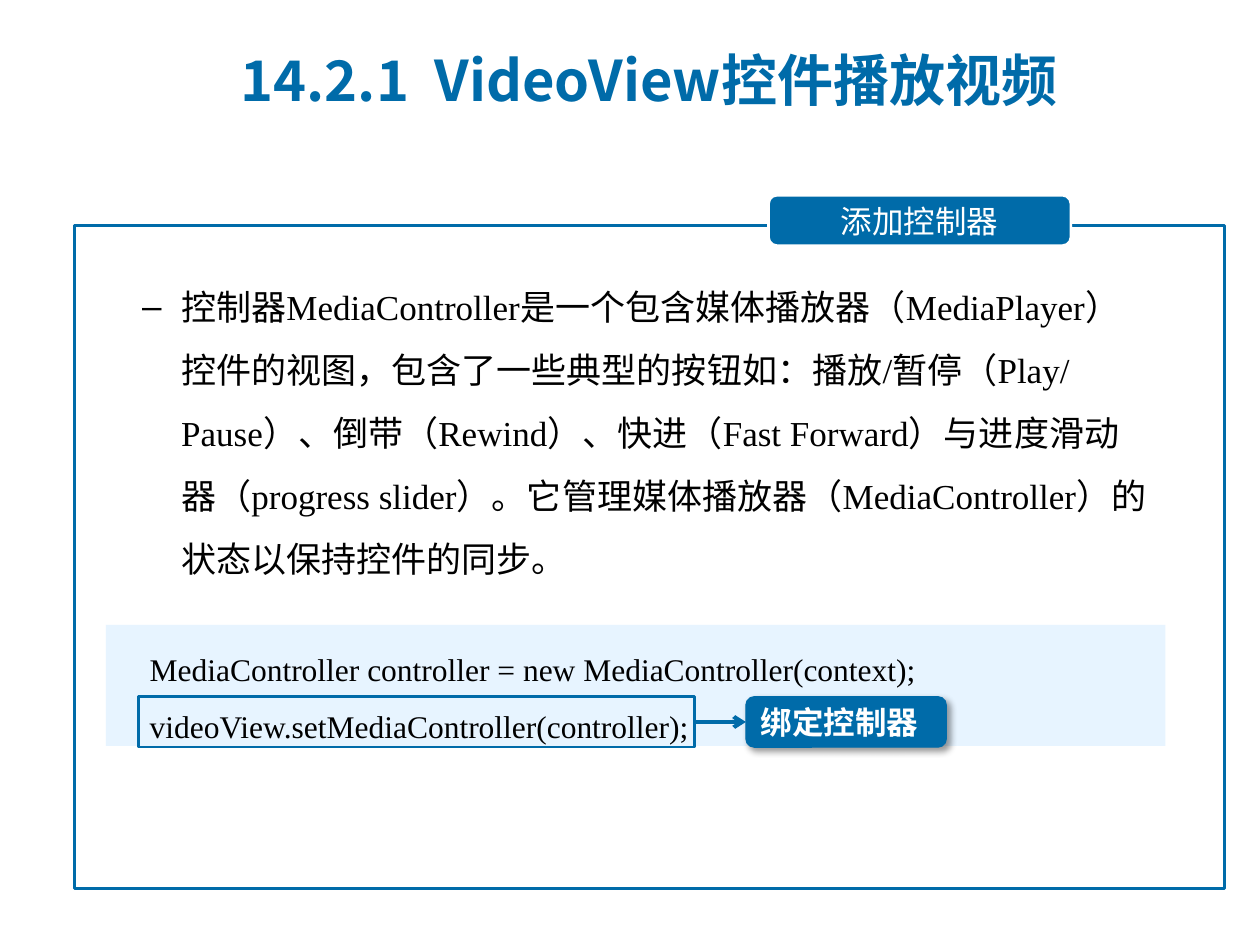
from lxml import etree
from pptx import Presentation
from pptx.dml.color import RGBColor
from pptx.enum import shapes, text
from pptx.oxml import parse_xml
from pptx.oxml.ns import nsdecls, qn
from pptx.util import Inches, Pt

BLUE = RGBColor(0x00, 0x6B, 0xA9)
PALE = RGBColor(0xE7, 0xF4, 0xFF)
WHITE = RGBColor(0xFF, 0xFF, 0xFF)
BLACK = RGBColor(0x00, 0x00, 0x00)
CJK, SANS, SERIF = "Noto Sans CJK SC", "Arial", "Times New Roman"

DESCRIPTION = [
    ("控制器", SANS),
    ("MediaController是一个包含媒体播放器（MediaPlayer）控件的视图，包含了一些典型的按钮如："
     "播放/暂停（Play/ Pause）、倒带（Rewind）、快进（Fast Forward）与进度滑动器"
     "（progress slider）。它管理媒体播放器（MediaController）的状态以保持控件的同步", SERIF),
    ("。", SANS),
]
CODE = [
    "    MediaController controller = new MediaController(context);",
    "    videoView.setMediaController(controller);",
]


def add_text(p, content, size=18, font=SANS, color=BLACK, bold=False,
             align=text.PP_ALIGN.LEFT, spacing=None):
    p.alignment = align
    if spacing:
        p.line_spacing = spacing
    r = p.add_run()
    r.text = content
    f = r.font
    f.size, f.name, f.bold = Pt(size), font, bold
    f.color.rgb = color
    etree.SubElement(r._r.get_or_add_rPr(), qn("a:ea")).set("typeface", CJK)


def set_indent(p, left, hanging):
    pPr = p._p.get_or_add_pPr()
    pPr.set("marL", str(Inches(left)))
    pPr.set("indent", str(-Inches(hanging)))
    return pPr


def add_box(slide, x, y, w, h, kind=shapes.MSO_SHAPE.RECTANGLE,
            fill=None, line=None, width=1.5):
    sp = slide.shapes.add_shape(kind, Inches(x), Inches(y), Inches(w), Inches(h))
    sp.shadow.inherit = False
    if fill is None:
        sp.fill.background()
    else:
        sp.fill.solid()
        sp.fill.fore_color.rgb = fill
    if line is None:
        sp.line.fill.background()
    else:
        sp.line.color.rgb = line
        sp.line.width = Pt(width)
    return sp


def add_title(slide, x, y, w, h):
    title = slide.shapes.title
    title.left, title.top, title.width, title.height = map(Inches, (x, y, w, h))
    tf = title.text_frame
    tf.auto_size = text.MSO_AUTO_SIZE.NONE
    tf.vertical_anchor = text.MSO_ANCHOR.MIDDLE
    p = tf.paragraphs[0]
    set_indent(p, 0.62, 0.62)
    add_text(p, "14.2.1  VideoView控件播放视频", size=32, font=CJK, color=BLUE, bold=True)


def add_panel(slide, x, y, w, h):
    """Outlined frame with a heading tab on its top edge."""
    add_box(slide, x, y, w, h, line=BLUE)
    tab = add_box(slide, x + 5.51, y - 0.24, 2.4, 0.4,
                  shapes.MSO_SHAPE.ROUNDED_RECTANGLE, fill=BLUE, line=WHITE)
    tf = tab.text_frame
    tf.margin_left = tf.margin_right = Inches(0.24)
    tf.margin_top = tf.margin_bottom = Inches(0.06)
    tf.vertical_anchor = text.MSO_ANCHOR.MIDDLE
    add_text(tf.paragraphs[0], "添加控制器", font=CJK, color=WHITE,
             align=text.PP_ALIGN.CENTER)


def add_description(slide, x, y, w, h):
    sp = slide.shapes.add_textbox(Inches(x), Inches(y), Inches(w), Inches(h))
    tf = sp.text_frame
    tf.word_wrap = True
    p = tf.paragraphs[0]
    p.level = 1
    pPr = set_indent(p, 0.81, 0.31)
    etree.SubElement(pPr, qn("a:buFont")).set("typeface", SANS)
    etree.SubElement(pPr, qn("a:buChar")).set("char", "–")
    for content, font in DESCRIPTION:
        add_text(p, content, size=20, font=font, spacing=1.5)


def add_arrow(slide, start, end):
    """Arrow from the right side of one shape to the left side of another."""
    line = slide.shapes.add_connector(shapes.MSO_CONNECTOR.STRAIGHT, 0, 0, 0, 0)
    line.begin_connect(start, 3)
    line.end_connect(end, 1)
    line.line.color.rgb = BLUE
    line.line.width = Pt(2.25)
    etree.SubElement(line.line._get_or_add_ln(), qn("a:tailEnd")).set("type", "arrow")
    etree.SubElement(line._element.spPr, qn("a:effectLst"))


def add_drop_shadow(sp):
    spPr = sp._element.spPr
    spPr.remove(spPr.find(qn("a:effectLst")))
    spPr.append(parse_xml(
        f'<a:effectLst {nsdecls("a")}>'
        f'<a:outerShdw blurRad="{Pt(4)}" dist="{Pt(3)}" dir="2700000" algn="tl" rotWithShape="0">'
        '<a:srgbClr val="000000"><a:alpha val="40000"/></a:srgbClr>'
        '</a:outerShdw></a:effectLst>'))


def add_code(slide, x, y, w, h):
    """Code block whose last line is framed and labelled."""
    tf = add_box(slide, x, y, w, h, fill=PALE).text_frame
    tf.vertical_anchor = text.MSO_ANCHOR.TOP
    for i, code in enumerate(CODE):
        p = tf.add_paragraph() if i else tf.paragraphs[0]
        add_text(p, code, font=SERIF, spacing=1.5)

    frame = add_box(slide, x + 0.26, y + 0.57, 4.41, 0.4, line=BLUE)
    label = add_box(slide, x + 5.08, y + 0.57, 1.59, 0.4,
                    shapes.MSO_SHAPE.ROUNDED_RECTANGLE, fill=BLUE, line=BLUE, width=0.75)
    add_drop_shadow(label)
    label.text_frame.vertical_anchor = text.MSO_ANCHOR.MIDDLE
    add_text(label.text_frame.paragraphs[0], "绑定控制器", color=WHITE, bold=True)
    add_arrow(slide, frame, label)


def main():
    prs = Presentation()
    prs.slide_width, prs.slide_height = Inches(10), Inches(7.5)
    slide = prs.slides.add_slide(prs.slide_layouts[5])
    add_title(slide, 1.81, 0.21, 7.44, 0.84)
    add_panel(slide, 0.59, 1.79, 9.13, 5.26)
    add_description(slide, 0.53, 2.05, 8.72, 1.17)
    add_code(slide, 0.84, 4.96, 8.41, 0.96)
    prs.save("out.pptx")


if __name__ == "__main__":
    main()
